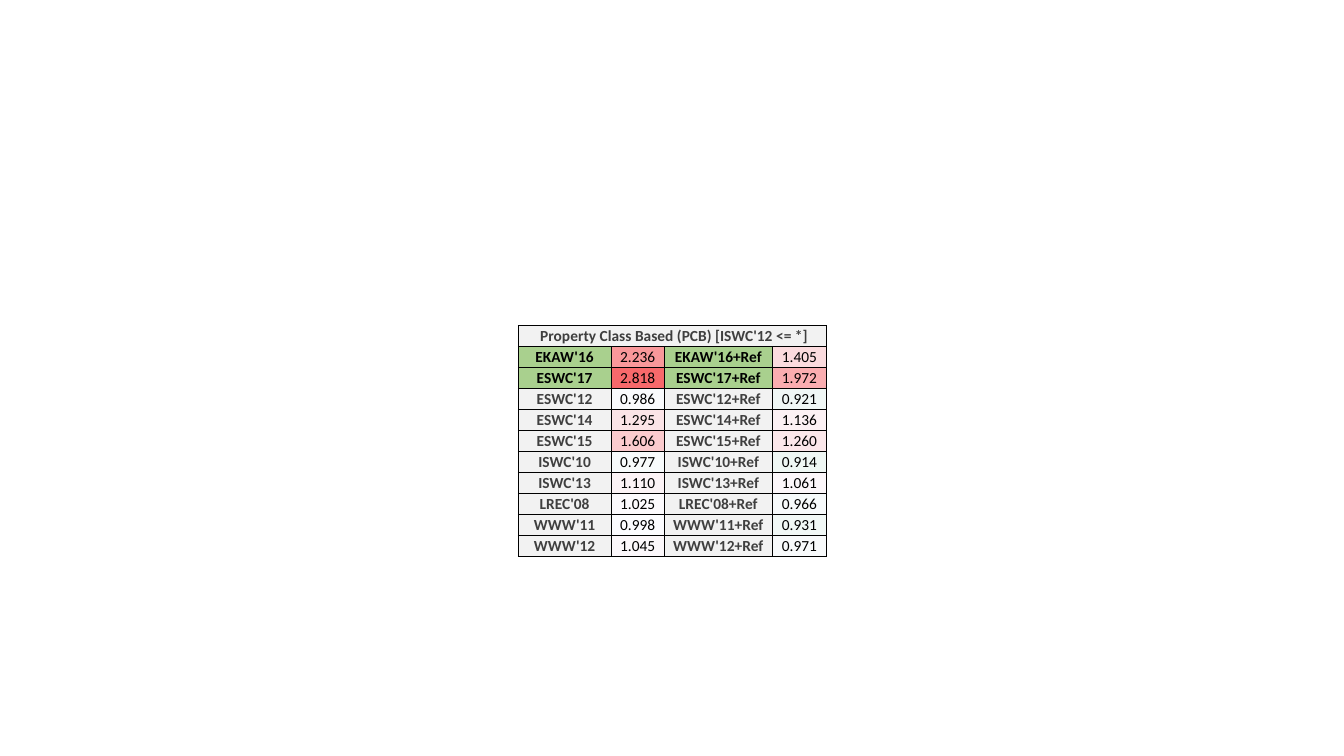
"""Build a slide with a table of property class based scores on a colour scale."""
import lxml.etree
import pptx
import pptx.dml.color
import pptx.enum.text
import pptx.oxml.ns
import pptx.util

Inches = pptx.util.Inches
RGBColor = pptx.dml.color.RGBColor

HEADING = " Property Class Based (PCB) [ISWC'12 <= *]"
SCORES = [
    ("EKAW'16", 2.236, 1.405),
    ("ESWC'17", 2.818, 1.972),
    ("ESWC'12", 0.986, 0.921),
    ("ESWC'14", 1.295, 1.136),
    ("ESWC'15", 1.606, 1.260),
    ("ISWC'10", 0.977, 0.914),
    ("ISWC'13", 1.110, 1.061),
    ("LREC'08", 1.025, 0.966),
    ("WWW'11", 0.998, 0.931),
    ("WWW'12", 1.045, 0.971),
]
HIGHLIGHTED = {"EKAW'16", "ESWC'17"}

BLACK = RGBColor(0x00, 0x00, 0x00)
DARK_GREY = RGBColor(0x3F, 0x3F, 0x3F)
LIGHT_GREY = RGBColor(0xF2, 0xF2, 0xF2)
GREEN = RGBColor(0xA9, 0xD0, 0x8E)
SCALE_LOW = RGBColor(0x63, 0xBE, 0x7B)
SCALE_MIDDLE = RGBColor(0xFC, 0xFC, 0xFF)
SCALE_HIGH = RGBColor(0xF8, 0x69, 0x6B)

LEFT, TOP = 5.14, 3.23
COLUMN_WIDTHS = [0.92, 0.53, 1.07, 0.54]
ROW_HEIGHT = 0.208
HIGHEST = max(max(plain, with_ref) for _, plain, with_ref in SCORES)


def scale_colour(score):
    if score < 1:
        end, share = SCALE_LOW, 1 - score
    else:
        end, share = SCALE_HIGH, (score - 1) / (HIGHEST - 1)
    return RGBColor(*(round(a + (b - a) * share) for a, b in zip(SCALE_MIDDLE, end)))


def add_borders(cell):
    properties = cell._tc.get_or_add_tcPr()
    for position, side in enumerate(("lnL", "lnR", "lnT", "lnB")):
        border = lxml.etree.Element(pptx.oxml.ns.qn(f"a:{side}"), w=str(pptx.util.Pt(0.5)))
        fill = lxml.etree.SubElement(border, pptx.oxml.ns.qn("a:solidFill"))
        lxml.etree.SubElement(fill, pptx.oxml.ns.qn("a:srgbClr"), val=str(BLACK))
        properties.insert(position, border)


def write_cell(cell, text, *, fill, colour=BLACK, bold=False):
    cell.fill.solid()
    cell.fill.fore_color.rgb = fill
    cell.vertical_anchor = pptx.enum.text.MSO_ANCHOR.MIDDLE
    cell.margin_left = cell.margin_right = cell.margin_top = Inches(0.01)
    cell.margin_bottom = 0
    paragraph = cell.text_frame.paragraphs[0]
    paragraph.alignment = pptx.enum.text.PP_ALIGN.CENTER
    run = paragraph.add_run()
    run.text = text
    run.font.name = "Calibri"
    run.font.size = pptx.util.Pt(11)
    run.font.bold = bold
    run.font.color.rgb = colour


presentation = pptx.Presentation()
presentation.slide_width = Inches(13.33)
presentation.slide_height = Inches(7.5)
slide = presentation.slides.add_slide(presentation.slide_layouts[6])

row_count = len(SCORES) + 1
scores_table = slide.shapes.add_table(
    row_count, len(COLUMN_WIDTHS), Inches(LEFT), Inches(TOP),
    Inches(sum(COLUMN_WIDTHS)), Inches(ROW_HEIGHT * row_count),
).table
for column, width in zip(scores_table.columns, COLUMN_WIDTHS):
    column.width = Inches(width)
for row in scores_table.rows:
    row.height = Inches(ROW_HEIGHT)

heading_cell = scores_table.cell(0, 0)
heading_cell.merge(scores_table.cell(0, len(COLUMN_WIDTHS) - 1))
write_cell(heading_cell, HEADING, fill=LIGHT_GREY, colour=DARK_GREY, bold=True)

for row_index, (venue, plain, with_ref) in enumerate(SCORES, start=1):
    fill, colour = (GREEN, BLACK) if venue in HIGHLIGHTED else (LIGHT_GREY, DARK_GREY)
    for column_index, (label, score) in enumerate([(venue, plain), (f"{venue}+Ref", with_ref)]):
        label_cell = scores_table.cell(row_index, 2 * column_index)
        score_cell = scores_table.cell(row_index, 2 * column_index + 1)
        write_cell(label_cell, label, fill=fill, colour=colour, bold=True)
        write_cell(score_cell, f"{score:.3f}", fill=scale_colour(score))

for cell in scores_table.iter_cells():
    add_borders(cell)

presentation.save("out.pptx")
